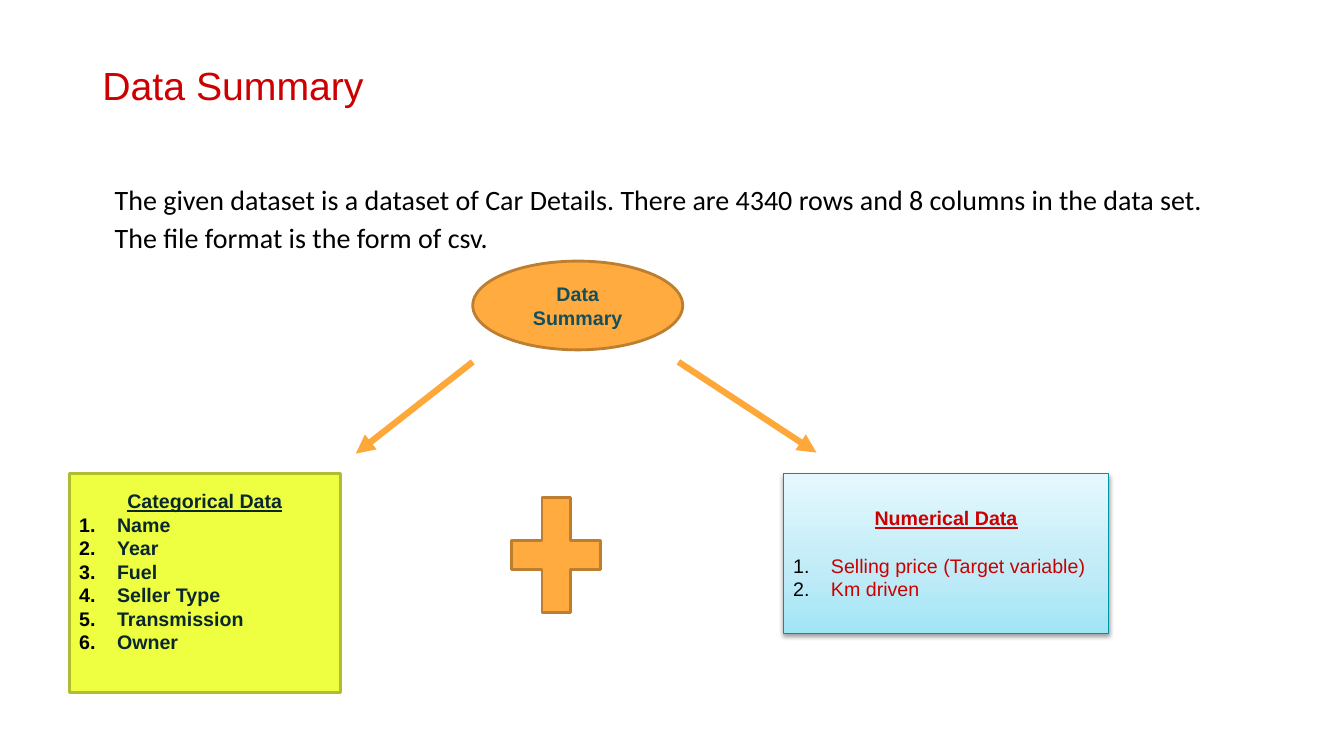
from dataclasses import dataclass

from pptx import Presentation
from pptx.dml.color import RGBColor
from pptx.enum.shapes import MSO_CONNECTOR, MSO_SHAPE
from pptx.enum.text import MSO_ANCHOR, MSO_AUTO_SIZE, PP_ALIGN
from pptx.oxml import parse_xml
from pptx.oxml.ns import nsdecls
from pptx.util import Pt


@dataclass(frozen=True)
class Theme:
    heading_font: str = "Arial"
    body_font: str = "Calibri"
    title_size: int = 28
    body_size: int = 20
    label_size: int = 14
    red: str = "CC0000"
    black: str = "000000"
    orange: str = "FFAB40"
    orange_edge: str = "BD7F2F"
    arrow: str = "FEA83A"
    teal: str = "134F5C"
    ink: str = "0A272E"
    lime: str = "EEFF41"
    lime_edge: str = "B0BD30"
    blue_edge: str = "0094A3"
    blues: tuple = ((0, "A0E5F5"), (35, "BEEBF7"), (100, "E5F8FD"))


class SlideBuilder:
    def __init__(self, s, theme):
        self.s = s
        self.theme = theme

    def apply(self, target, values):
        for name, value in values.items():
            setattr(target, name, value)

    def text(self, p, text, size, color, font=None, **values):
        r = p.add_run()
        r.text = text
        self.apply(r.font, {"name": font or self.theme.heading_font,
                            "size": Pt(size), **values})
        r.font.color.rgb = RGBColor.from_string(color)

    def frame(self, tf, **values):
        self.apply(tf, {"word_wrap": True, "auto_size": MSO_AUTO_SIZE.NONE,
                        "vertical_anchor": MSO_ANCHOR.MIDDLE, **values})

    def place(self, sp, box):
        names = ("left", "top", "width", "height")
        self.apply(sp, dict(zip(names, map(Pt, box))))

    def title(self, text, box):
        sp = self.s.shapes.title
        self.place(sp, box)
        self.frame(sp.text_frame)
        p = sp.text_frame.paragraphs[0]
        self.apply(p, {"alignment": PP_ALIGN.LEFT, "line_spacing": 0.9})
        self.text(p, text, self.theme.title_size, self.theme.red)

    def body(self, text, box):
        tf = self.s.shapes.add_textbox(*map(Pt, box)).text_frame
        self.frame(tf, vertical_anchor=MSO_ANCHOR.TOP, margin_left=Pt(16))
        p = tf.paragraphs[0]
        p.line_spacing = 1.15
        self.text(p, text, self.theme.body_size, self.theme.black,
                  self.theme.body_font)

    def shape(self, kind, box, fill, edge, width=2):
        sp = self.s.shapes.add_shape(kind, *map(Pt, box))
        sp.shadow.inherit = False
        sp.fill.solid()
        sp.fill.fore_color.rgb = RGBColor.from_string(fill)
        sp.line.color.rgb = RGBColor.from_string(edge)
        sp.line.width = Pt(width)
        self.frame(sp.text_frame)
        return sp

    def heading(self, sp, text, color, gap=0, underline=True):
        p = sp.text_frame.paragraphs[0]
        self.apply(p, {"alignment": PP_ALIGN.CENTER, "space_after": Pt(gap)})
        self.text(p, text, self.theme.label_size, color,
                  bold=True, underline=underline)

    def numbered(self, sp, items, color, bold):
        for item in items:
            p = sp.text_frame.add_paragraph()
            p.alignment = PP_ALIGN.LEFT
            pPr = p._p.get_or_add_pPr()
            pPr.set("marL", str(Pt(27)))
            pPr.set("indent", str(Pt(-27)))
            pPr.append(parse_xml(
                f'<a:buClr {nsdecls("a")}>'
                f'<a:srgbClr val="{self.theme.black}"/></a:buClr>'))
            pPr.append(parse_xml(
                f'<a:buAutoNum {nsdecls("a")} type="arabicPeriod"/>'))
            self.text(p, item, self.theme.label_size, color, bold=bold)

    def gradient(self, sp, stops):
        """Fill from bottom to top."""
        spPr = sp._element.spPr
        gs = "".join(f'<a:gs pos="{pos * 1000}"><a:srgbClr val="{color}"/></a:gs>'
                     for pos, color in stops)
        spPr.replace(spPr.find("{*}solidFill"), parse_xml(
            f'<a:gradFill {nsdecls("a")} rotWithShape="1"><a:gsLst>{gs}</a:gsLst>'
            '<a:lin ang="16200000" scaled="0"/></a:gradFill>'))

    def drop_shadow(self, sp):
        sp._element.spPr.find("{*}effectLst").append(parse_xml(
            f'<a:outerShdw {nsdecls("a")} blurRad="{Pt(3.1)}" dist="{Pt(1.6)}" '
            'dir="5400000" rotWithShape="0">'
            f'<a:srgbClr val="{self.theme.black}"><a:alpha val="38000"/>'
            '</a:srgbClr></a:outerShdw>'))

    def arrow(self, start, end):
        c = self.s.shapes.add_connector(MSO_CONNECTOR.STRAIGHT,
                                        *map(Pt, start + end))
        c.line.color.rgb = RGBColor.from_string(self.theme.arrow)
        c.line.width = Pt(4.5)
        spPr = c._element.spPr
        spPr.find("{*}ln").append(
            parse_xml(f'<a:tailEnd {nsdecls("a")} type="triangle"/>'))
        spPr.append(parse_xml(f'<a:effectLst {nsdecls("a")}/>'))


def main():
    prs = Presentation()
    prs.slide_width, prs.slide_height = Pt(960), Pt(540)
    theme = Theme()
    b = SlideBuilder(prs.slides.add_slide(prs.slide_layouts[5]), theme)

    # Title and introduction
    b.title("Data Summary", (66, 10.8, 828, 104.4))
    b.body("The given dataset is a dataset of Car Details. There are 4340 rows "
           "and 8 columns in the data set. The file format is the form of csv.",
           (66, 123, 828, 343))

    # Root of the diagram
    root = b.shape(MSO_SHAPE.OVAL, (337.7, 186.5, 150, 63.4),
                   theme.orange, theme.orange_edge)
    b.heading(root, "Data Summary", theme.teal, underline=False)

    # Categorical columns
    categorical = b.shape(MSO_SHAPE.RECTANGLE, (49.5, 338.4, 193.7, 156.2),
                          theme.lime, theme.lime_edge)
    categorical.text_frame.margin_bottom = Pt(20)
    b.heading(categorical, "Categorical Data", theme.ink)
    b.numbered(categorical, ("Name", "Year", "Fuel", "Seller Type",
                             "Transmission", "Owner"), theme.ink, bold=True)

    # Numerical columns
    numerical = b.shape(MSO_SHAPE.RECTANGLE, (559.5, 338.4, 232.6, 113.8),
                        theme.blues[0][1], theme.blue_edge, 0.75)
    b.gradient(numerical, theme.blues)
    b.drop_shadow(numerical)
    b.heading(numerical, "Numerical Data", theme.red, gap=17)
    b.numbered(numerical, ("Selling price (Target variable)", "Km driven"),
               theme.red, bold=False)

    # Arrows and plus sign
    b.arrow((337.7, 258.5), (254.2, 324))
    b.arrow((484.6, 258.5), (583.2, 323.3))
    b.shape(MSO_SHAPE.MATH_PLUS, (354.2, 340.6, 86.4, 111.6),
            theme.orange, theme.orange_edge)

    prs.save("out.pptx")


if __name__ == "__main__":
    main()
